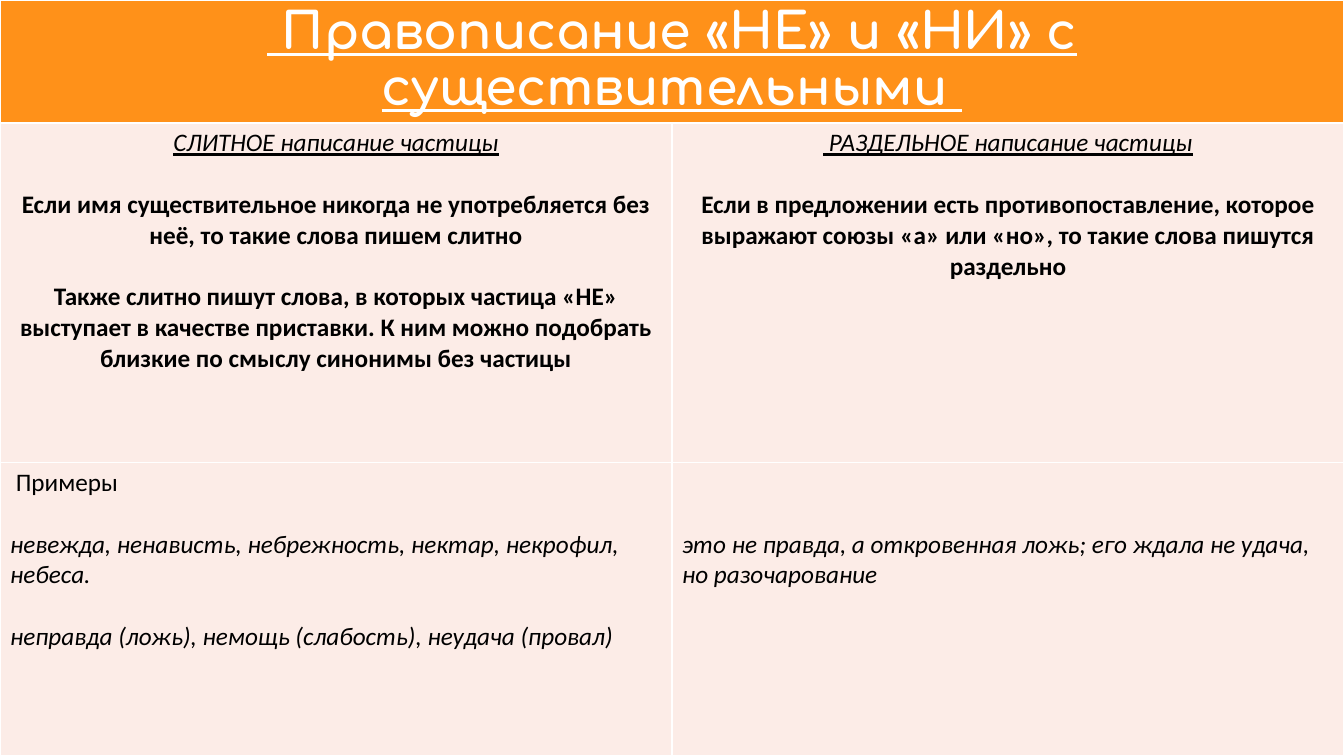
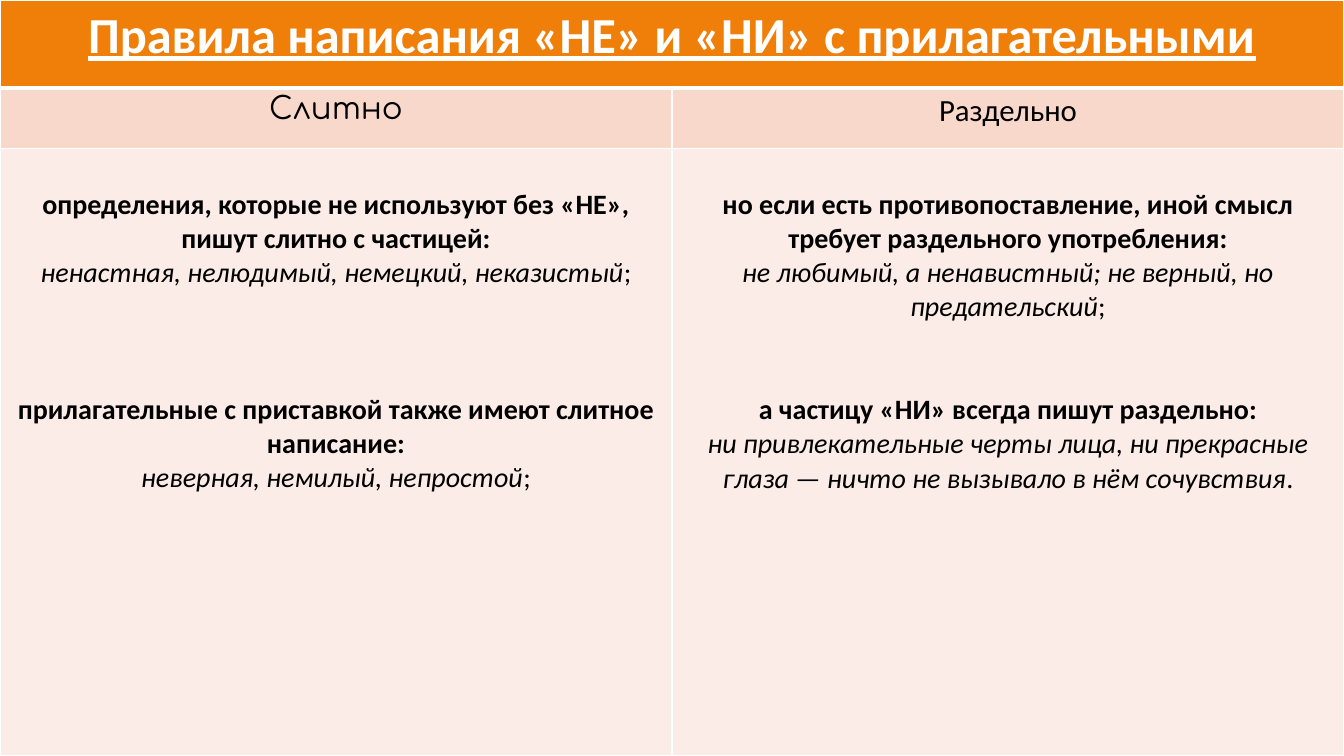
from lxml.etree import SubElement
from pptx import Presentation
from pptx.dml.color import RGBColor
from pptx.enum.text import PP_ALIGN
from pptx.oxml.ns import qn
from pptx.util import Inches, Pt

WHITE = RGBColor(0xFF, 0xFF, 0xFF)
BLACK = RGBColor(0, 0, 0)
AMBER = RGBColor(0xFF, 0x91, 0x19)
ORANGE = RGBColor(0xF0, 0x7F, 0x09)
PEACH = RGBColor(0xF9, 0xD8, 0xCC)
CREAM = RGBColor(0xFC, 0xEC, 0xE7)
SANS, ROUND = "Calibri", "Comfortaa"
WIDE, HIGH = 13.33, 7.5
PITCH = 1.22  # line height as a share of the text size
PAD = 3.6

# A paragraph is (empty lines above, [(text, style letters b, i, u), ...]).
NOUNS = {
    "title": " Правописание «НЕ» и «НИ» с существительными ",
    "font": ROUND, "fill": AMBER, "rule": 1, "rows": [1.22, 3.37, 2.91],
    "body": [
        {"size": 18, "fill": CREAM, "align": PP_ALIGN.CENTER, "cells": [
            [(0, [("СЛИТНОЕ написание частицы", "iu")]),
             (1, [("Если имя существительное никогда не употребляется без неё, "
                   "то такие слова пишем слитно", "b")]),
             (1, [("Также слитно пишут слова, в которых частица «НЕ» выступает "
                   "в качестве приставки. К ним можно подобрать близкие по "
                   "смыслу синонимы без частицы", "b")])],
            [(0, [(" РАЗДЕЛЬНОЕ написание частицы", "iu")]),
             (1, [("Если в предложении есть противопоставление, которое "
                   "выражают союзы «а» или «но», то такие слова пишутся "
                   "раздельно", "b")])]]},
        {"size": 18, "fill": CREAM, "align": PP_ALIGN.LEFT, "cells": [
            [(0, [(" Примеры", "")]),
             (1, [("невежда, ненависть, небрежность, нектар, некрофил, "
                   "небеса.", "i")]),
             (1, [("неправда (ложь), немощь (слабость), неудача (провал)",
                   "i")])],
            [(2, [("это не правда, а откровенная ложь; его ждала не удача, "
                   "но разочарование", "i")])]]},
    ],
}
ADJECTIVES = {
    "title": "Правила написания «НЕ» и «НИ» с прилагательными",
    "font": SANS, "fill": ORANGE, "rule": 3, "rows": [0.87, 0.6, 6.03],
    "body": [
        {"size": 22, "fill": PEACH, "align": PP_ALIGN.CENTER,
         "fonts": [ROUND, SANS],
         "cells": [[(0, [("Слитно", "")])], [(0, [("Раздельно", "")])]]},
        {"size": 20, "fill": CREAM, "align": PP_ALIGN.CENTER, "cells": [
            [(1, [("определения, которые не используют без «НЕ», пишут слитно "
                   "с частицей:", "b")]),
             (0, [("ненастная, нелюдимый, немецкий, неказистый", "i"),
                  (";", "")]),
             (3, [("прилагательные с приставкой также имеют слитное "
                   "написание:", "b")]),
             (0, [("неверная, немилый, непростой", "i"), (";", "")])],
            [(1, [("но если есть противопоставление, иной смысл требует "
                   "раздельного употребления:", "b")]),
             (0, [("не любимый, а ненавистный; не верный, но предательский",
                   "i"), (";", "")]),
             (2, [("а частицу «НИ» всегда пишут раздельно:", "b")]),
             (0, [("ни привлекательные черты лица, ни прекрасные глаза — "
                   "ничто не вызывало в нём сочувствия", "i"), (".", "")])]]},
    ],
}


def paint(cell, fill, top=1, bottom=1):
    """Give the cell white borders and a solid fill."""
    props = cell._tc.get_or_add_tcPr()
    for side, width in zip("LRTB", (1, 1, top, bottom)):
        line = SubElement(props, qn(f"a:ln{side}"), w=str(Pt(width)))
        solid = SubElement(line, qn("a:solidFill"))
        SubElement(solid, qn("a:srgbClr"), val=str(WHITE))
    cell.fill.solid()
    cell.fill.fore_color.rgb = fill


def write(cell, paras, size, align, face=SANS, color=BLACK):
    line = size * PITCH
    cell.margin_top = Pt(PAD + paras[0][0] * line)
    frame = cell.text_frame
    for i, (gap, runs) in enumerate(paras):
        para = frame.add_paragraph() if i else frame.paragraphs[0]
        para.alignment = align
        if i and gap:
            para.space_before = Pt(gap * line)
        for text, style in runs:
            run = para.add_run()
            run.text = text
            font = run.font
            font.name, font.size = face, Pt(size)
            font.color.rgb = color
            font.bold, font.italic = "b" in style, "i" in style
            font.underline = "u" in style


def build(deck, topic):
    slide = deck.slides.add_slide(deck.slide_layouts[6])
    rows, rule = topic["rows"], topic["rule"]
    table = slide.shapes.add_table(
        len(rows), 2, 0, 0, Inches(WIDE), Inches(HIGH)).table
    table.first_row = table.horz_banding = False
    for row, height in zip(table.rows, rows):
        row.height = Inches(height)

    head = table.cell(0, 0)
    head.merge(table.cell(0, 1))
    for col in range(2):
        paint(table.cell(0, col), topic["fill"], bottom=rule)
    write(head, [(0, [(topic["title"], "bu")])], 36, PP_ALIGN.CENTER,
          topic["font"], WHITE)

    for r, band in enumerate(topic["body"], 1):
        faces = band.get("fonts", [SANS, SANS])
        for c, (paras, face) in enumerate(zip(band["cells"], faces)):
            cell = table.cell(r, c)
            paint(cell, band["fill"], top=rule if r == 1 else 1)
            write(cell, paras, band["size"], band["align"], face)


def main():
    deck = Presentation()
    deck.slide_width, deck.slide_height = Inches(WIDE), Inches(HIGH)
    for topic in (NOUNS, ADJECTIVES):
        build(deck, topic)
    deck.save("out.pptx")


if __name__ == "__main__":
    main()
